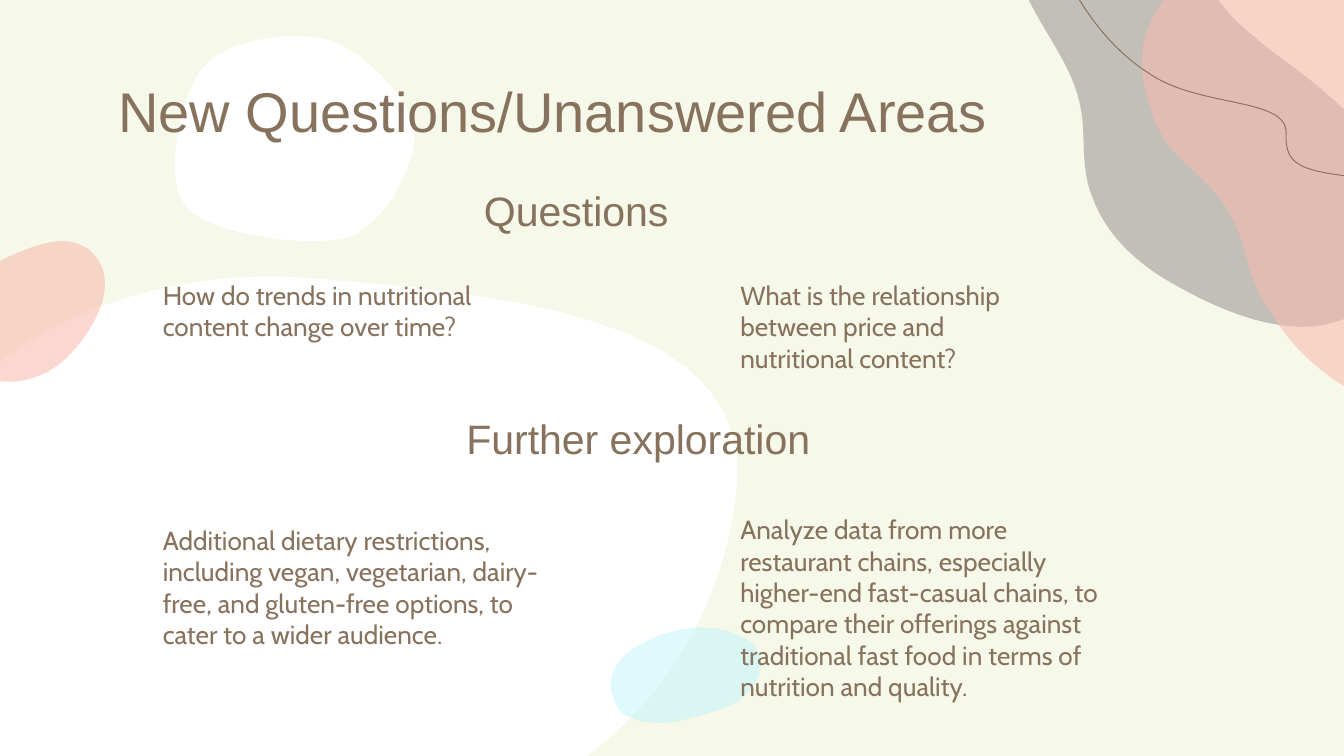
from pptx import Presentation
from pptx.dml.color import RGBColor as RGB
from pptx.enum.text import MSO_ANCHOR as Anchor, PP_ALIGN as Align
from pptx.oxml.ns import qn
from pptx.util import Pt
from lxml.etree import SubElement as Sub

CREAM = RGB(0xF6, 0xF8, 0xE9)
BROWN = RGB(0x87, 0x72, 0x5D)
GREY = RGB(0x8F, 0x86, 0x88)
PINK = RGB(0xF7, 0xBC, 0xAF)
AQUA = RGB(0xC4, 0xF6, 0xFA)
WHITE = RGB(0xFF, 0xFF, 0xFF)

HEAD = {"name": "Arial", "size": Pt(30)}
SUB = {"name": "Arial", "size": Pt(22)}
BODY = {"name": "Cabin", "size": Pt(14)}
FRAME = {"word_wrap": True, "vertical_anchor": Anchor.TOP,
         "margin_left": Pt(7.2), "margin_right": Pt(7.2),
         "margin_top": Pt(7.2), "margin_bottom": Pt(7.2)}

WAVE = [(214, 120), (212, 86), (180, 56), (153, 36), (143, 29), (132, 20), (123, 12),
        (113, 2), (106, -10), (98, -22), (84, -40), (68, -60), (44, -66),
        (24, -69), (4, -58), (2, -37), (2, -35), (2, -32), (2, -30),
        (3, -9), (17, 10), (27, 28), (34, 40), (39, 52), (40, 66),
        (41, 79), (40, 93), (45, 105), (52, 125), (68, 140), (85, 150),
        (107, 163), (135, 176), (161, 175), (178, 174), (194, 166), (204, 153),
        (204, 153), (206, 151), (207, 150), (212, 140), (215, 130), (214, 120)]
DRAPE = [(72, 28), (71, 38), (73, 48), (78, 63), (89, 94), (117, 92), (128, 139),
         (131, 150), (135, 160), (142, 169), (153, 188), (171, 203), (191, 213),
         (192, 214), (194, 214), (194, 213), (209, 217), (223, 217), (235, 207),
         (247, 197), (253, 183), (254, 168), (255, 163), (256, 156), (255, 150),
         (253, 125), (240, 103), (230, 81), (219, 58), (209, 35), (196, 14),
         (178, -13), (130, -71), (99, -24), (83, 0), (73, 13), (72, 28)]
THREAD = [(33.2, -9.4), (33.2, -9.4), (47, 21), (75, 39), (102, 58), (149, 52), (149, 71),
          (148, 90), (158, 92), (196, 96)]
CLOUD = [(109, 36), (96.5, 51), (87, 96), (100, 111), (113, 126), (166, 133), (186.5, 127),
         (207, 120), (223, 88), (222, 70), (220, 52.5), (194, 27), (176, 21.5),
         (157, 16), (122, 21), (109, 36)]
HILL = [(118, 451), (-11, 441), (-66, 376), (-59, 294), (-52, 205), (51, 140), (166, 149),
        (282, 158), (402, 173), (394.6, 260.6), (387, 348), (318, 456), (144, 452),
        (135, 452), (127, 452), (118, 451)]
PETAL = [(33, 129.2), (27, 129.2), (22, 131), (17, 132.5), (4, 137), (-7, 143), (-17, 152),
         (-24, 158), (-29, 167), (-27, 177), (-26, 184), (-23, 189), (-18, 194),
         (-12, 202), (-4, 204.5), (5, 204.5), (17, 204.5), (29, 199), (37.4, 190),
         (50.4, 176.4), (66.2, 150), (48, 134), (43, 130.3), (38, 129.2), (33, 129.2)]
POND = [(385, 337), (374, 335), (363, 337), (352, 341), (341, 346), (333, 350), (329, 359),
        (325, 366), (328, 376), (333, 382), (337, 384), (341, 386), (346, 387),
        (351, 387.4), (356, 387.4), (361, 387), (372, 384), (383, 382), (393, 377),
        (408, 369), (415, 348), (397, 341), (393, 339), (390, 338), (385, 337)]


def trace(nodes, steps=20):
    """Return points along a chain of cubic curves, to find its bounds."""
    pts = [nodes[0]]
    for i in range(0, len(nodes) - 1, 3):
        for k in range(1, steps + 1):
            t = k / steps
            u = 1 - t
            pts.append(tuple(u**3 * p + 3 * u * u * t * q + 3 * u * t * t * r + t**3 * s
                             for p, q, r, s in zip(*nodes[i:i + 4])))
    return [(Pt(x), Pt(y)) for x, y in pts]


def bend(shape, nodes, low, shut):
    """Give a freeform the cubic curves that run through its nodes."""
    route = shape.element.spPr.find(".//" + qn("a:path"))
    for part in list(route):
        route.remove(part)
    for i in range(0, len(nodes), 3):
        step = Sub(route, qn("a:cubicBezTo" if i else "a:moveTo"))
        for x, y in nodes[max(i - 2, 0):i + 1]:
            dot = Sub(step, qn("a:pt"))
            dot.set("x", str(Pt(x) - low[0]))
            dot.set("y", str(Pt(y) - low[1]))
    if shut:
        Sub(route, qn("a:close"))


def curve(slide, box, nodes, fill=None, alpha=100):
    """Draw a filled blob, or an open brown line when no fill is given."""
    pts = trace(nodes)
    form = slide.shapes.build_freeform(*pts[0])
    form.add_line_segments(pts[1:], close=False)
    shape = form.convert_to_shape(*map(Pt, box))
    bend(shape, nodes, [min(axis) for axis in zip(*pts)], fill is not None)
    shape.shadow.inherit = False
    if fill is None:
        shape.fill.background()
        shape.line.color.rgb = BROWN
        shape.line.width = Pt(0.5)
        return
    shape.line.fill.background()
    shape.fill.solid()
    shape.fill.fore_color.rgb = fill
    if alpha < 100:
        tint = shape.element.spPr.find(qn("a:solidFill")).find(qn("a:srgbClr"))
        Sub(tint, qn("a:alpha")).set("val", str(alpha * 1000))


def write(shape, text, font):
    """Put styled, left-aligned text into a shape."""
    frame = shape.text_frame
    for key, val in FRAME.items():
        setattr(frame, key, val)
    para = frame.paragraphs[0]
    para.alignment = Align.LEFT
    run = para.add_run()
    run.text = text
    for key, val in font.items():
        setattr(run.font, key, val)
    run.font.color.rgb = BROWN


def label(slide, box, text, font):
    """Add a text box."""
    write(slide.shapes.add_textbox(*map(Pt, box)), text, font)


def corner(slide, box):
    """Layer the waves of the top right corner."""
    curve(slide, box, WAVE, GREY, 50)
    curve(slide, box, DRAPE, PINK, 58)
    curve(slide, box, THREAD)


def ground(slide, box):
    """Lay the white and tinted blobs behind the text."""
    for nodes, fill, alpha in ((CLOUD, WHITE, 100), (HILL, WHITE, 100),
                               (PETAL, PINK, 58), (POND, AQUA, 54)):
        curve(slide, box, nodes, fill, alpha)


def title(slide, box, text):
    """Place the title in front of the blobs."""
    shape = slide.shapes.title
    for key, val in zip(("left", "top", "width", "height"), box):
        setattr(shape, key, Pt(val))
    write(shape, text, HEAD)
    shape.element.getparent().append(shape.element)


def section(slide, box, head, shift, notes):
    """Place a heading with a row of notes below it."""
    left, top = box
    label(slide, (left + shift, top, 234.7, 36.7), head, SUB)
    for i, (drop, wide, high, text) in enumerate(notes):
        label(slide, (left + i * 309.4, top + drop, wide, high), text, BODY)


def main():
    """Build the slide and save it."""
    deck = Presentation()
    deck.slide_width, deck.slide_height = Pt(720), Pt(405)
    slide = deck.slides.add_slide(deck.slide_layouts[5])
    back = slide.background.fill
    back.solid()
    back.fore_color.rgb = CREAM
    corner(slide, (540, 0))
    ground(slide, (0, 0))
    title(slide, (56.2, 33.8, 607.7, 36.7), "New Questions/Unanswered Areas")
    section(slide, (80.1, 92.2), "Questions", 172.1, [
        (50.2, 183.6, 49, "How do trends in nutritional content change over time?"),
        (50.2, 183.6, 49, "What is the relationship between price and nutritional content?")])
    section(slide, (80.1, 214.1), "Further exploration", 162.7, [
        (59.5, 222.5, 90, "Additional dietary restrictions, including vegan, vegetarian, "
         "dairy-free, and gluten-free options, to cater to a wider audience."),
        (53.8, 213.8, 63.4, "Analyze data from more restaurant chains, especially higher-end "
         "fast-casual chains, to compare their offerings against traditional fast food "
         "in terms of nutrition and quality.")])
    deck.save("out.pptx")


if __name__ == "__main__":
    main()
